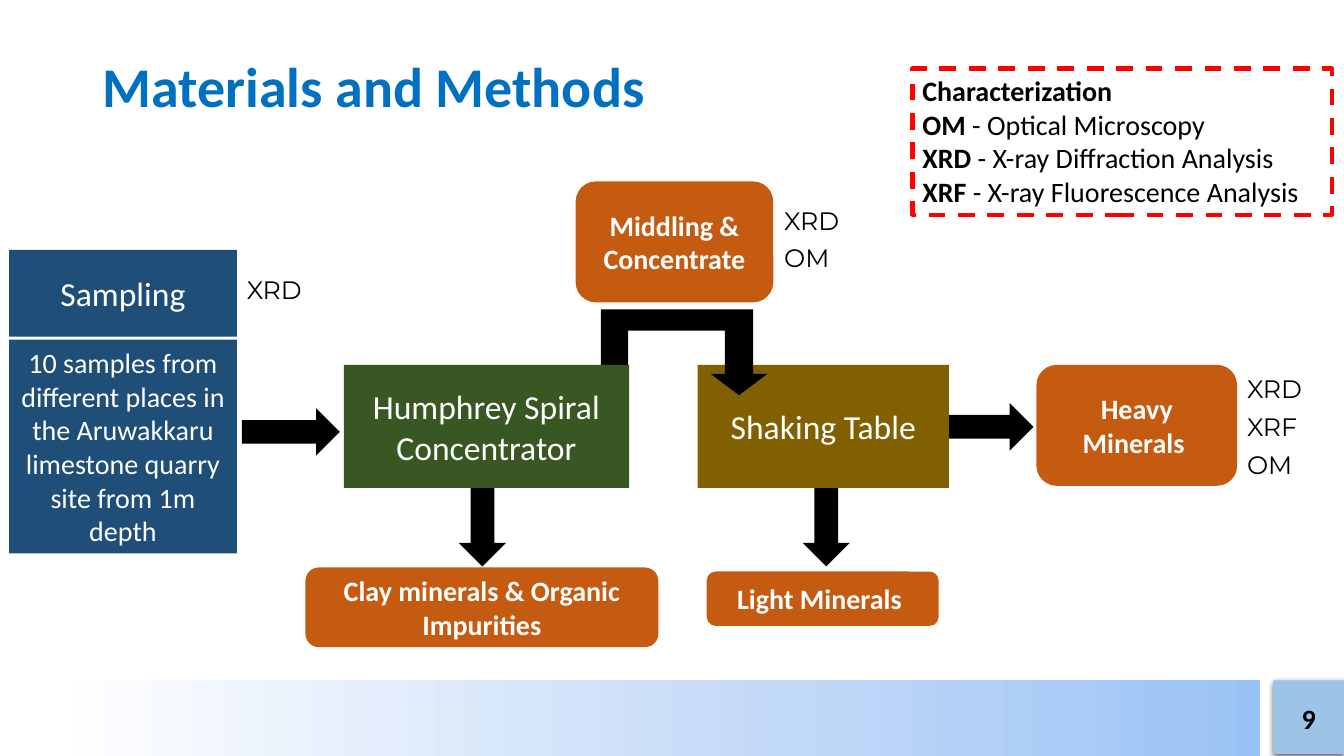
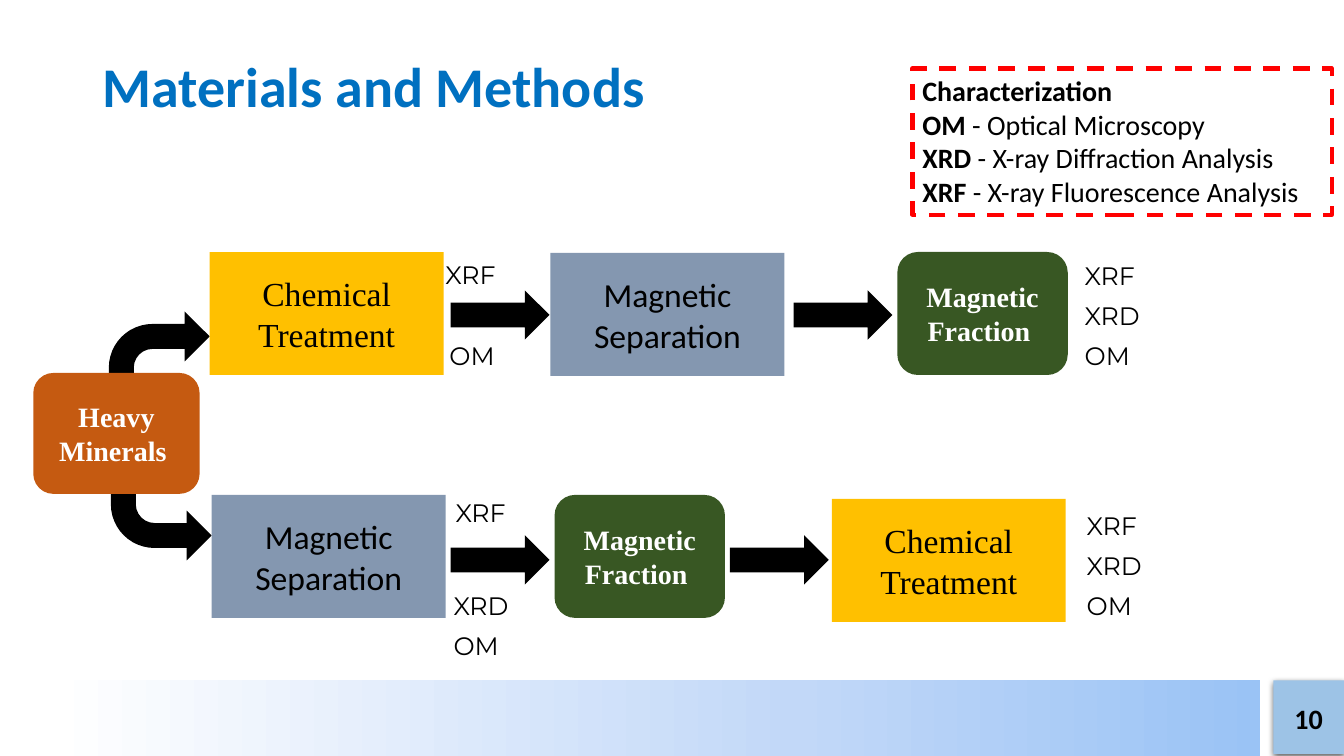
from dataclasses import dataclass

from lxml import etree
from pptx import Presentation
from pptx import util as u
from pptx.dml.color import RGBColor
from pptx.enum import dml, shapes, text
from pptx.oxml import ns

Inches = u.Inches
GEOMETRY = shapes.MSO_SHAPE
ALIGN = text.PP_ALIGN
ANCHOR = text.MSO_ANCHOR


@dataclass(frozen=True)
class Theme:
    blue: str = "0070C0"
    navy: str = "1F4E79"
    olive: str = "806000"
    green: str = "385723"
    orange: str = "C55A11"
    slate: str = "8497B0"
    gold: str = "FFC000"
    red: str = "FF0000"
    black: str = "000000"
    white: str = "FFFFFF"
    page_box: str = "9DC3E6"
    band: tuple = ((0, "9AC3F5"), (37, "C2D8F8"), (96, "FFFFFF"))
    sans: str = "Calibri"
    serif: str = "Times New Roman"
    label: str = "Montserrat"
    title_size: int = 40
    step_size: int = 24
    body_size: int = 20
    label_size: int = 18


THEME = Theme()


@dataclass(frozen=True)
class Font:
    size: int
    color: str = THEME.black
    name: str = THEME.sans
    bold: bool = False


@dataclass(frozen=True)
class Style:
    fill: str
    font: Font
    geometry: int = GEOMETRY.RECTANGLE


@dataclass(frozen=True)
class Box:
    words: str
    at: tuple
    style: Style


@dataclass(frozen=True)
class Arrow:
    at: tuple
    geometry: int = GEOMETRY.RIGHT_ARROW
    rotation: int = 0
    flipped: bool = False


@dataclass(frozen=True)
class Labels:
    left: float
    top: float
    names: tuple
    step: float = 0.4


# Fonts and box styles
TITLE = Font(THEME.title_size, THEME.blue, bold=True)
STRONG = Font(THEME.body_size, bold=True)
PLAIN = Font(THEME.body_size)
LABEL = Font(THEME.label_size, name=THEME.label)
STEP_FONT = Font(THEME.step_size, THEME.white)
PRODUCT_FONT = Font(THEME.body_size, THEME.white, bold=True)
SERIF_FONT = Font(THEME.body_size, THEME.white, THEME.serif, True)

SAMPLING = Style(THEME.navy, STEP_FONT)
SAMPLING_NOTE = Style(THEME.navy, Font(THEME.body_size, THEME.white))
SPIRAL = Style(THEME.green, STEP_FONT)
SHAKING = Style(THEME.olive, STEP_FONT)
PRODUCT = Style(THEME.orange, PRODUCT_FONT, GEOMETRY.ROUNDED_RECTANGLE)
FEED = Style(THEME.orange, SERIF_FONT, GEOMETRY.ROUNDED_RECTANGLE)
FRACTION = Style(THEME.green, SERIF_FONT, GEOMETRY.ROUNDED_RECTANGLE)
MAGNETIC = Style(THEME.slate, Font(THEME.step_size))
CHEMICAL = Style(THEME.gold, Font(THEME.step_size, name=THEME.serif))

METHODS = (("OM", "Optical Microscopy"), ("XRD", "X-ray Diffraction Analysis"),
           ("XRF", "X-ray Fluorescence Analysis"))


# Drawing helpers
def inches(at: tuple) -> list:
    return [Inches(length) for length in at]


def add_run(paragraph, words: str, font: Font) -> None:
    run = paragraph.add_run()
    run.text = words
    formats = {"name": font.name, "size": u.Pt(font.size), "bold": font.bold}
    for key, value in formats.items():
        setattr(run.font, key, value)
    run.font.color.rgb = RGBColor.from_string(font.color)


def set_frame(frame, anchor, align) -> None:
    formats = {"word_wrap": True, "auto_size": text.MSO_AUTO_SIZE.NONE,
               "vertical_anchor": anchor}
    for key, value in formats.items():
        setattr(frame, key, value)
    for paragraph in frame.paragraphs:
        paragraph.alignment = align


def paint(shape, color: str) -> None:
    shape.shadow.inherit = False
    shape.fill.solid()
    shape.fill.fore_color.rgb = RGBColor.from_string(color)
    shape.line.fill.background()


def add_shape(slide, geometry, at: tuple, color: str):
    shape = slide.shapes.add_shape(geometry, *inches(at))
    paint(shape, color)
    return shape


def add_text(slide, words: str, at: tuple, font: Font, anchor, align) -> None:
    frame = slide.shapes.add_textbox(*inches(at)).text_frame
    add_run(frame.paragraphs[0], words, font)
    set_frame(frame, anchor, align)


def add_boxes(slide, boxes: list) -> None:
    for box in boxes:
        shape = add_shape(slide, box.style.geometry, box.at, box.style.fill)
        add_run(shape.text_frame.paragraphs[0], box.words, box.style.font)
        set_frame(shape.text_frame, ANCHOR.MIDDLE, ALIGN.CENTER)


def add_arrows(slide, arrows: list) -> None:
    for arrow in arrows:
        shape = add_shape(slide, arrow.geometry, arrow.at, THEME.black)
        shape.rotation = arrow.rotation
        if arrow.flipped:
            shape.element.spPr.find(ns.qn("a:xfrm")).set("flipV", "1")


def add_labels(slide, stacks: list) -> None:
    for stack in stacks:
        for row, name in enumerate(stack.names):
            at = (stack.left, stack.top + row * stack.step, 1.17, 0.4)
            add_text(slide, name, at, LABEL, ANCHOR.TOP, ALIGN.LEFT)


def add_elbow(slide, points: list) -> None:
    builder = slide.shapes.build_freeform(*inches(points[0]), scale=1.0)
    builder.add_line_segments([inches(point) for point in points[1:]], close=True)
    paint(builder.convert_to_shape(), THEME.black)


def add_color(parent, color: str):
    return etree.SubElement(parent, ns.qn("a:srgbClr"), val=color)


# Shared parts
def build_layout(layout, slide) -> None:
    """Give the layout its footer band and page box, drawn through a slide."""
    band = add_shape(slide, GEOMETRY.RECTANGLE, (0, 6.75, 12.5, 0.75), THEME.white)
    gradient = etree.Element(ns.qn("a:gradFill"), rotWithShape="1")
    stops = etree.SubElement(gradient, ns.qn("a:gsLst"))
    for percent, color in THEME.band:
        stop = etree.SubElement(stops, ns.qn("a:gs"), pos=str(percent * 1000))
        add_color(stop, color)
    etree.SubElement(gradient, ns.qn("a:lin"), ang=str(180 * 60000), scaled="0")
    properties = band.element.spPr
    properties.replace(properties.find(ns.qn("a:solidFill")), gradient)

    page_box = add_shape(slide, GEOMETRY.RECTANGLE, (12.63, 6.75, 0.7, 0.73),
                         THEME.page_box)
    effects = page_box.element.spPr.find(ns.qn("a:effectLst"))
    shadow = etree.SubElement(
        effects, ns.qn("a:outerShdw"), blurRad=str(u.Pt(4.5)),
        dist=str(u.Pt(1.5)), dir=str(90 * 60000), algn="t", rotWithShape="0")
    etree.SubElement(add_color(shadow, THEME.black), ns.qn("a:alpha"), val="63000")

    for part in (band, page_box):
        layout.shapes.element.append(part.element)


def add_heading(slide, page: int) -> None:
    title = slide.shapes.title
    for key, value in zip(("left", "top", "width", "height"),
                          inches((0.92, 0.16, 11.5, 1.45))):
        setattr(title, key, value)
    heading = title.text_frame.paragraphs[0]
    add_run(heading, "Materials and Methods", TITLE)
    heading.line_spacing = 0.9
    set_frame(title.text_frame, ANCHOR.MIDDLE, ALIGN.LEFT)
    add_text(slide, str(page), (12.63, 6.93, 0.7, 0.4), STRONG,
             ANCHOR.MIDDLE, ALIGN.CENTER)


def add_legend(slide) -> None:
    legend = add_shape(slide, GEOMETRY.RECTANGLE, (9.05, 0.68, 4.16, 1.45),
                       THEME.white)
    legend.line.color.rgb = RGBColor.from_string(THEME.red)
    legend.line.width = u.Pt(3)
    legend.line.dash_style = dml.MSO_LINE.DASH
    frame = legend.text_frame
    add_run(frame.paragraphs[0], "Characterization", STRONG)
    for short, full in METHODS:
        entry = frame.add_paragraph()
        add_run(entry, short, STRONG)
        add_run(entry, f" - {full}", PLAIN)
    set_frame(frame, ANCHOR.TOP, ALIGN.LEFT)


# Separation of the samples
def draw_separation(slide) -> None:
    add_arrows(slide, [
        Arrow((9.28, 4, 0.97, 0.47)),
        Arrow((2.4, 4.05, 0.97, 0.47)),
        Arrow((7.71, 4.9, 0.97, 0.47), rotation=90),
        Arrow((4.3, 4.9, 0.97, 0.47), rotation=90),
    ])
    add_boxes(slide, [Box("Shaking Table", (6.92, 3.62, 2.49, 1.22), SHAKING)])
    add_elbow(slide, [(5.96, 3.92), (6.23, 3.92), (6.23, 3.28), (7.19, 3.28),
                      (7.19, 3.71), (7.05, 3.71), (7.33, 3.92), (7.61, 3.71),
                      (7.47, 3.71), (7.47, 3.07), (5.96, 3.07)])
    add_boxes(slide, [
        Box("Sampling", (0.09, 2.48, 2.26, 0.86), SAMPLING),
        Box("10 samples from different places in the Aruwakkaru limestone "
            "quarry site from 1m depth", (0.09, 3.37, 2.26, 2.12), SAMPLING_NOTE),
        Box("Humphrey Spiral Concentrator", (3.41, 3.62, 2.83, 1.22), SPIRAL),
        Box("Middling & Concentrate", (5.71, 1.8, 1.96, 1.2), PRODUCT),
        Box("Heavy Minerals ", (10.28, 3.62, 1.99, 1.2), PRODUCT),
        Box("Light Minerals ", (7.01, 5.67, 2.3, 0.54), PRODUCT),
        Box("Clay minerals & Organic Impurities", (3.03, 5.63, 3.5, 0.79), PRODUCT),
    ])
    add_labels(slide, [
        Labels(2.35, 2.67, ("XRD",)),
        Labels(7.68, 1.99, ("XRD", "OM"), 0.36),
        Labels(12.27, 3.65, ("XRD", "XRF", "OM"), 0.38),
    ])


# Two treatment routes for the heavy minerals
def draw_treatment(slide) -> None:
    add_arrows(slide, [
        Arrow((1.08, 3.09, 1, 0.99), GEOMETRY.BENT_ARROW),
        Arrow((1.1, 4.57, 1, 0.99), GEOMETRY.BENT_ARROW, flipped=True),
        *(Arrow((left, top, 0.98, 0.49)) for left, top in
          ((4.47, 2.88), (7.87, 2.88), (4.47, 5.31), (7.24, 5.31))),
    ])
    add_boxes(slide, [
        Box("Heavy Minerals ", (0.33, 3.7, 1.65, 1.2), FEED),
        Box("Chemical Treatment", (2.08, 2.5, 2.32, 1.22), CHEMICAL),
        Box("Magnetic Separation", (5.46, 2.51, 2.32, 1.22), MAGNETIC),
        Box("Magnetic Fraction ", (8.9, 2.5, 1.69, 1.22), FRACTION),
        Box("Magnetic Separation", (2.1, 4.91, 2.32, 1.22), MAGNETIC),
        Box("Magnetic Fraction ", (5.5, 4.91, 1.69, 1.22), FRACTION),
        Box("Chemical Treatment", (8.25, 4.95, 2.32, 1.22), CHEMICAL),
    ])
    add_labels(slide, [
        Labels(4.32, 2.52, ("XRF",)),
        Labels(4.36, 3.33, ("OM",)),
        Labels(10.66, 2.53, ("XRF", "XRD", "OM")),
        Labels(4.42, 4.88, ("XRF",)),
        Labels(4.4, 5.81, ("XRD", "OM"), 0.39),
        Labels(10.68, 5.01, ("XRF", "XRD", "OM")),
    ])


def main() -> None:
    deck = Presentation()
    deck.slide_width, deck.slide_height = inches((13.33, 7.5))
    layout = deck.slide_layouts.get_by_name("Title Only")
    for page, draw in enumerate((draw_separation, draw_treatment), start=9):
        slide = deck.slides.add_slide(layout)
        if page == 9:
            build_layout(layout, slide)
        add_heading(slide, page)
        draw(slide)
        add_legend(slide)
    deck.save("out.pptx")


if __name__ == "__main__":
    main()
